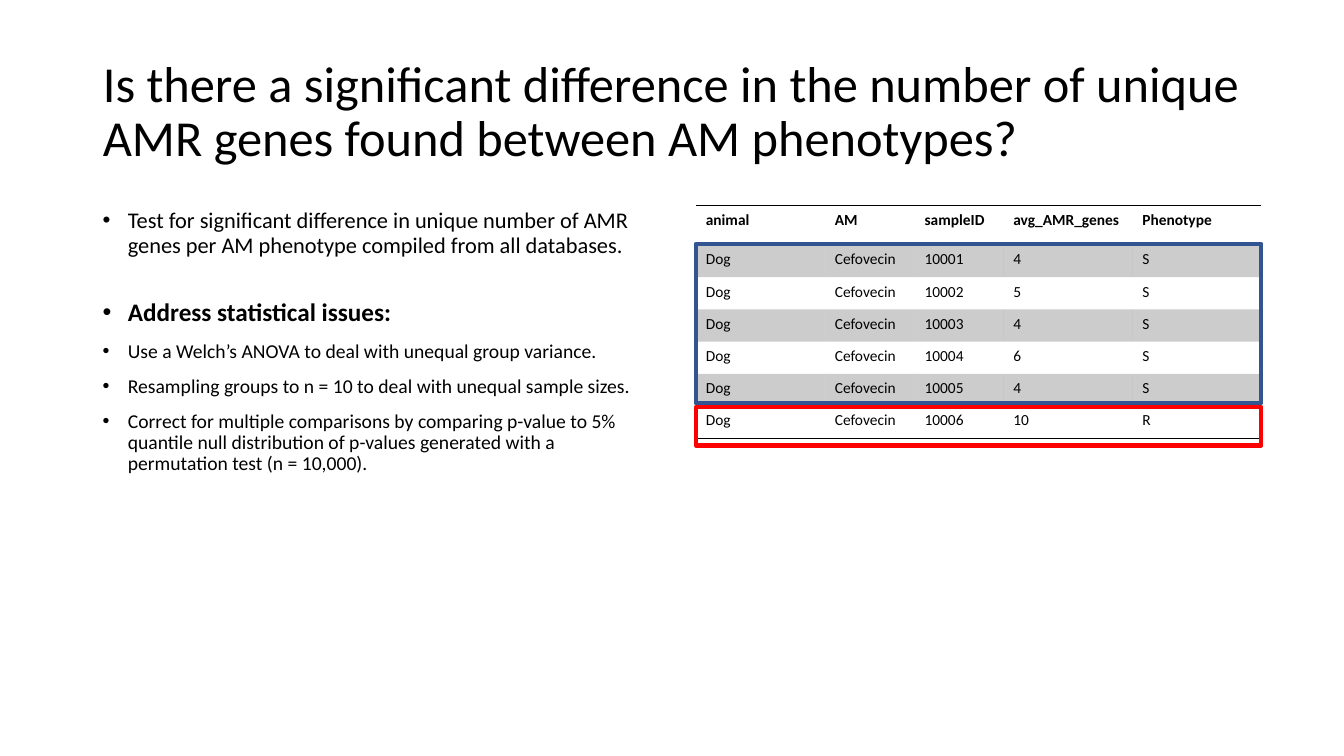
from lxml.etree import SubElement
from pptx import Presentation
from pptx.dml.color import RGBColor
from pptx.enum.shapes import MSO_SHAPE
from pptx.enum.text import MSO_ANCHOR, MSO_AUTO_SIZE, PP_ALIGN
from pptx.oxml import parse_xml
from pptx.oxml.ns import nsdecls, qn
from pptx.util import Inches, Pt

FONT = "Calibri"
COLORS = {"ink": "000000", "susceptible": "325491", "resistant": "FF0000"}
TITLE = ("Is there a significant difference in the number of unique "
         "AMR genes found between AM phenotypes?")
BULLETS = [
    ("Test for significant difference in unique number of AMR genes per AM "
     "phenotype compiled from all databases.", 16, False, 10),
    ("Address statistical issues:", 18, True, 30),
    ("Use a Welch’s ANOVA to deal with unequal group variance.", 14, False, 10),
    ("Resampling groups to n = 10 to deal with unequal sample sizes.", 14, False, 10),
    ("Correct for multiple comparisons by comparing p-value to 5% quantile null "
     "distribution of p-values generated with a permutation test (n = 10,000).",
     14, False, 10),
]
HEADER = ("animal", "AM", "sampleID", "avg_AMR_genes", "Phenotype")
SAMPLES = [("10001", "4", "S"), ("10002", "5", "S"), ("10003", "4", "S"),
           ("10004", "6", "S"), ("10005", "4", "S"), ("10006", "10", "R")]
ROWS = [HEADER] + [("Dog", "Cefovecin") + sample for sample in SAMPLES]

LEFT, TABLE_LEFT, TABLE_TOP = 0.92, 6.9, 2.04
COLUMN_WIDTHS = (1.28, 0.89, 0.88, 1.28, 1.28)
HEADER_HEIGHT, ROW_HEIGHT = 0.39, 0.32
TABLE_WIDTH = sum(COLUMN_WIDTHS)
TABLE_HEIGHT = HEADER_HEIGHT + ROW_HEIGHT * len(SAMPLES)
FRAMES = [("susceptible", 2.42, 1.58), ("resistant", 4.04, 0.38)]
PLAIN_TABLE_STYLE = "{2D5ABB26-0587-4C30-8999-92F81FD0307C}"


def color(name):
    return RGBColor.from_string(COLORS[name])


def box(left, top, width, height):
    return [Inches(value) for value in (left, top, width, height)]


def style(paragraph, size, bold=False):
    font = paragraph.font
    font.name, font.size, font.bold = FONT, Pt(size), bold
    font.color.rgb = color("ink")


def add_title(slide):
    title = slide.shapes.title
    title.left, title.top, title.width, title.height = box(LEFT, 0.4, 11.5, 1.45)
    frame = title.text_frame
    frame.text = TITLE
    frame.word_wrap = True
    frame.auto_size = MSO_AUTO_SIZE.NONE
    frame.vertical_anchor = MSO_ANCHOR.MIDDLE
    paragraph = frame.paragraphs[0]
    paragraph.alignment, paragraph.line_spacing = PP_ALIGN.LEFT, 0.9
    paragraph.space_before = Pt(0)
    style(paragraph, 36)


def add_bullets(slide):
    frame = slide.shapes.add_textbox(*box(LEFT, 2.03, 5.67, 4.76)).text_frame
    frame.word_wrap = True
    frame.text = "\n".join(text for text, *_ in BULLETS)
    for paragraph, (_, size, bold, space) in zip(frame.paragraphs, BULLETS):
        style(paragraph, size, bold)
        paragraph.line_spacing, paragraph.space_before = 0.9, Pt(space)
        properties = paragraph._p.get_or_add_pPr()
        properties.set("marL", str(Inches(0.25)))
        properties.set("indent", str(-Inches(0.25)))
        bullet_font = parse_xml(f'<a:buFont {nsdecls("a")} typeface="Arial"/>')
        bullet = parse_xml(f'<a:buChar {nsdecls("a")} char="•"/>')
        properties.find(qn("a:defRPr")).addprevious(bullet_font)
        bullet_font.addnext(bullet)


def shade(cell):
    cell.fill.solid()
    cell.fill.fore_color.rgb = color("ink")
    fill_color = cell._tc.tcPr.find(qn("a:solidFill"))[0]
    SubElement(fill_color, qn("a:alpha")).set("val", "20000")


def add_borders(cell, sides):
    for position, side in enumerate(sides):
        cell._tc.get_or_add_tcPr().insert(position, parse_xml(
            f'<a:ln{side} {nsdecls("a")} w="{Pt(1)}"><a:solidFill>'
            f'<a:srgbClr val="{COLORS["ink"]}"/></a:solidFill></a:ln{side}>'))


def add_samples(slide):
    table = slide.shapes.add_table(
        len(ROWS), len(HEADER),
        *box(TABLE_LEFT, TABLE_TOP, TABLE_WIDTH, TABLE_HEIGHT)).table
    table._tbl.tblPr.find(qn("a:tableStyleId")).text = PLAIN_TABLE_STYLE
    for column, width in zip(table.columns, COLUMN_WIDTHS):
        column.width = Inches(width)
    borders = {0: "TB", len(SAMPLES): "B"}
    for index, values in enumerate(ROWS):
        table.rows[index].height = Inches(ROW_HEIGHT if index else HEADER_HEIGHT)
        for cell, value in zip(table.rows[index].cells, values):
            cell.text = value
            style(cell.text_frame.paragraphs[0], 11, index == 0)
            if index % 2:
                shade(cell)
            else:
                cell.fill.background()
            add_borders(cell, borders.get(index, ""))


def add_frames(slide):
    for name, top, height in FRAMES:
        shape = slide.shapes.add_shape(
            MSO_SHAPE.RECTANGLE, *box(TABLE_LEFT, top, TABLE_WIDTH, height))
        shape.shadow.inherit = False
        shape.fill.background()
        shape.line.color.rgb = color(name)
        shape.line.width = Pt(3)


def main():
    presentation = Presentation()
    presentation.slide_width, presentation.slide_height = Inches(13.33), Inches(7.5)
    slide = presentation.slides.add_slide(presentation.slide_layouts[5])
    add_title(slide)
    add_samples(slide)
    add_bullets(slide)
    add_frames(slide)
    presentation.save("out.pptx")


if __name__ == "__main__":
    main()
